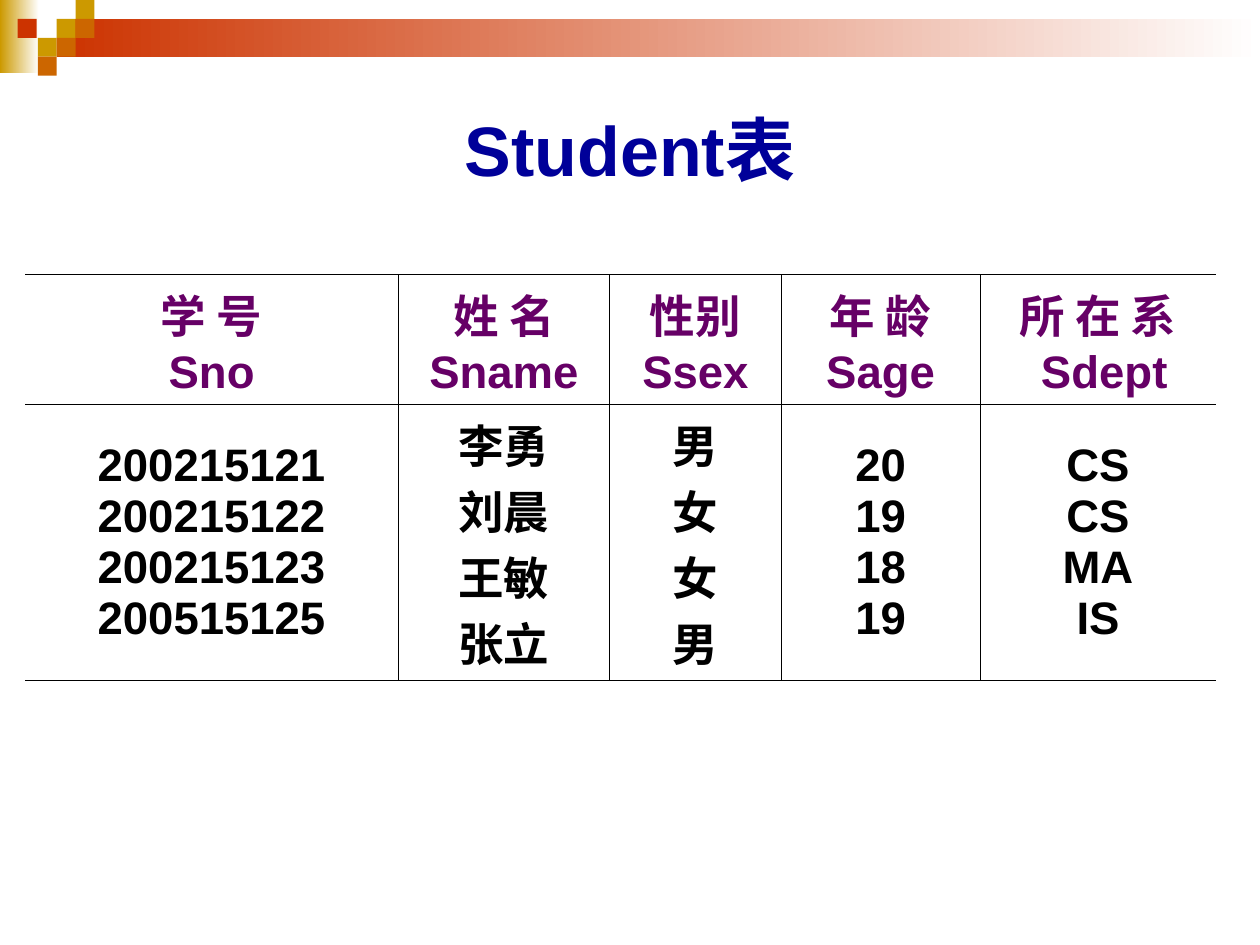
"""Build the Student table slide."""
from dataclasses import dataclass

from lxml.etree import SubElement
from pptx import Presentation
from pptx.dml.color import RGBColor
from pptx.enum.shapes import MSO_SHAPE
from pptx.enum.text import MSO_ANCHOR, MSO_AUTO_SIZE, PP_ALIGN
from pptx.oxml.ns import qn
from pptx.util import Inches, Pt


@dataclass(frozen=True)
class Theme:
    font: str = "Arial"
    title_size: int = 40
    table_size: int = 26
    border_width: float = 0.45
    title: str = "000099"
    header: str = "660066"
    body: str = "000000"
    border: str = "000000"
    white: str = "FFFFFF"
    gold: str = "CC9900"
    orange: str = "CC6600"
    red: str = "CC3300"


theme = Theme()


def write_line(para, text, size, color):
    para.alignment = PP_ALIGN.CENTER
    span = para.add_run()
    span.text = text
    span.font.name = theme.font
    span.font.size = Pt(size)
    span.font.bold = True
    span.font.color.rgb = RGBColor.from_string(color)


def add_block(page, left, top, width, height):
    block = page.shapes.add_shape(
        MSO_SHAPE.RECTANGLE, Inches(left), Inches(top), Inches(width), Inches(height))
    block.shadow.inherit = False
    block.line.fill.background()
    return block


deck = Presentation()
deck.slide_width, deck.slide_height = Inches(10), Inches(7.5)
page = deck.slides.add_slide(deck.slide_layouts[5])

bands = [(0, 0, 0.31, 0.58, theme.gold), (0.45, 0.15, 9.55, 0.3, theme.red)]
for left, top, width, height, color in bands:
    band = add_block(page, left, top, width, height)
    band.fill.gradient()
    band.fill.gradient_angle = 180
    for stop, shade in zip(band.fill.gradient_stops, (theme.white, color)):
        stop.color.rgb = RGBColor.from_string(shade)

side = 0.15
squares = [
    (0.45, 0.15, theme.gold), (0.6, 0, theme.gold), (0.6, 0.15, theme.orange),
    (0.3, 0.3, theme.gold), (0.14, 0.15, theme.red), (0.45, 0.3, theme.orange),
    (0.3, 0.45, theme.orange),
]
for left, top, color in squares:
    square = add_block(page, left, top, side, side)
    square.fill.solid()
    square.fill.fore_color.rgb = RGBColor.from_string(color)

title = page.shapes.title
title.left, title.top = Inches(0.5), Inches(0.5)
title.width, title.height = Inches(9), Inches(1.36)
title.text_frame.auto_size = MSO_AUTO_SIZE.NONE
title.text_frame.vertical_anchor = MSO_ANCHOR.MIDDLE
write_line(title.text_frame.paragraphs[0], "Student表", theme.title_size, theme.title)

headers = [["学 号", "Sno"], ["姓 名Sname"], ["性别Ssex"], ["年 龄", "Sage"], ["所 在 系", " Sdept"]]
students = [
    ("200215121", "李勇", "男", "20", "CS"),
    ("200215122", "刘晨", "女", "19", "CS"),
    ("200215123", "王敏", "女", "18", "MA"),
    ("200515125", "张立", "男", "19", "IS"),
]
rows = [(1.02, theme.header, headers), (2.02, theme.body, list(zip(*students)))]
column_widths = [2.96, 1.68, 1.36, 1.58, 1.87]

table = page.shapes.add_table(
    len(rows), len(column_widths), Inches(0.2), Inches(2.18), Inches(9.45), Inches(3.04)).table
table.first_row = table.horz_banding = False
for column, width in zip(table.columns, column_widths):
    column.width = Inches(width)

last_column = len(column_widths) - 1
for row_index, (height, color, contents) in enumerate(rows):
    table.rows[row_index].height = Inches(height)
    for column_index, lines in enumerate(contents):
        cell = table.cell(row_index, column_index)
        cell.vertical_anchor = MSO_ANCHOR.MIDDLE
        frame = cell.text_frame
        for line_index, text in enumerate(lines):
            para = frame.add_paragraph() if line_index else frame.paragraphs[0]
            write_line(para, text, theme.table_size, color)

        properties = cell._tc.get_or_add_tcPr()
        borders = {"a:lnL": column_index > 0, "a:lnR": column_index < last_column,
                   "a:lnT": True, "a:lnB": True}
        for tag, visible in borders.items():
            border = SubElement(properties, qn(tag), w=str(int(Pt(theme.border_width))))
            if visible:
                paint = SubElement(border, qn("a:solidFill"))
                SubElement(paint, qn("a:srgbClr"), val=theme.border)
            else:
                SubElement(border, qn("a:noFill"))
        cell.fill.background()

deck.save("out.pptx")
